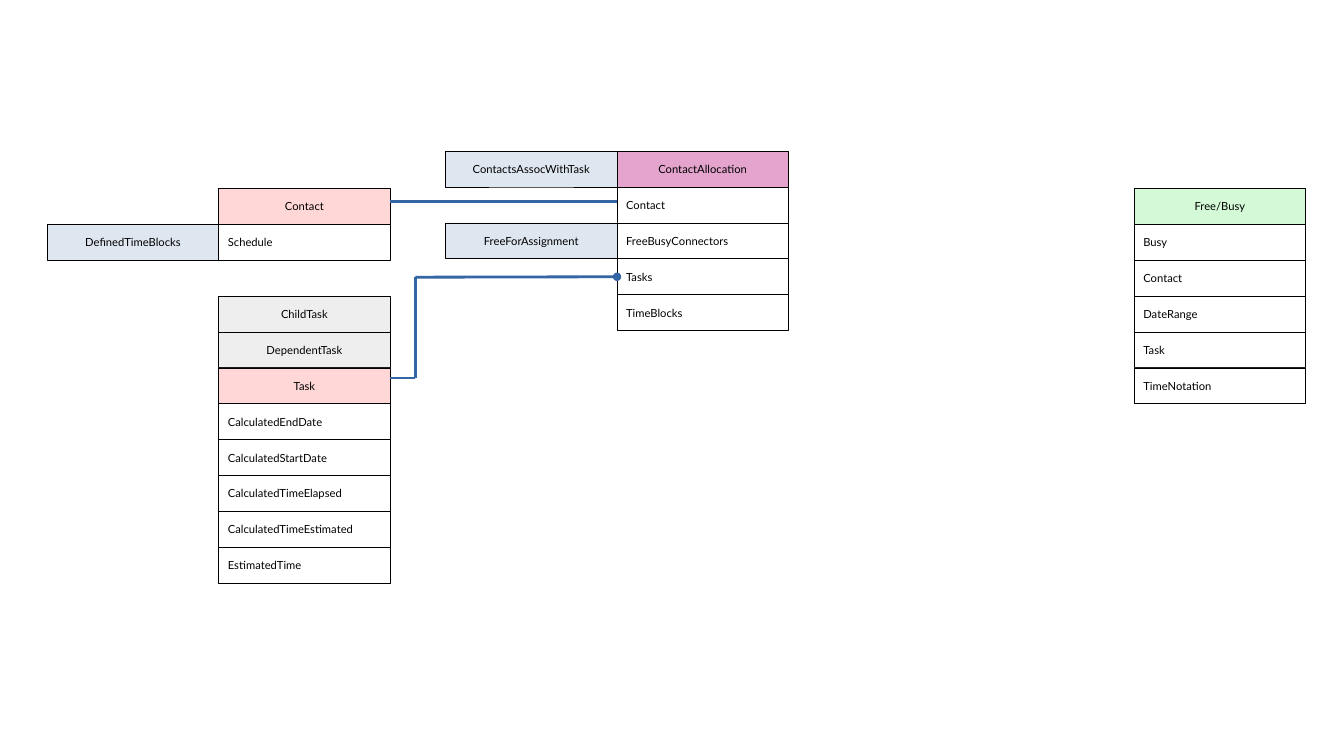
from pptx import Presentation
from pptx.dml.color import RGBColor
from pptx.enum.shapes import MSO_CONNECTOR, MSO_SHAPE
from pptx.enum.text import MSO_ANCHOR, PP_ALIGN
from pptx.oxml.ns import qn
from pptx.util import Inches, Pt
from lxml.etree import SubElement

COLORS = {
    "entity": "FFD7D7",
    "allocation": "E4A4CD",
    "availability": "D4F9D7",
    "subtype": "EEEEEE",
    "tag": "DEE6EF",
    "field": "FFFFFF",
    "ink": "000000",
    "link": "3465A4",
}
CELL_WIDTH = 1.7
ROW_HEIGHT = 3.56 / 10
TASK_LEFT = 2.17
ALLOCATION_LEFT = 6.12
ENTITY_TOP = 1.87
ALLOCATION_TOP = 1.5


def color(name):
    """Return the named colour."""
    return RGBColor.from_string(COLORS[name])


def add_cell(shapes, left, top, text, role):
    """Add one labelled cell; only fields are left-aligned."""
    shape = shapes.add_shape(
        MSO_SHAPE.RECTANGLE,
        Inches(left), Inches(top), Inches(CELL_WIDTH), Inches(ROW_HEIGHT),
    )
    shape.shadow.inherit = False
    shape.fill.solid()
    shape.fill.fore_color.rgb = color(role)
    shape.line.color.rgb = color("ink")
    shape.line.width = Pt(0.5)
    frame = shape.text_frame
    frame.word_wrap = True
    frame.vertical_anchor = MSO_ANCHOR.MIDDLE
    frame.margin_left = frame.margin_right = Inches(0.09)
    frame.margin_top = frame.margin_bottom = Inches(0.04)
    frame.text = text
    paragraph = frame.paragraphs[0]
    paragraph.alignment = PP_ALIGN.LEFT if role == "field" else PP_ALIGN.CENTER
    font = paragraph.runs[0].font
    font.name = "Lato"
    font.size = Pt(8)
    font.color.rgb = color("ink")
    return shape


def add_entity(slide, left, top, headers, fields, tags=None):
    """Stack headers and fields, hang tags left of rows, return cells by text."""
    shapes = slide.shapes.add_group_shape().shapes
    rows = headers + [(field, "field") for field in fields]
    cells = {}
    for index, (text, role) in enumerate(rows):
        cells[text] = add_cell(shapes, left, top + index * ROW_HEIGHT, text, role)
    for index, text in (tags or {}).items():
        add_cell(shapes, left - CELL_WIDTH, top + index * ROW_HEIGHT, text, "tag")
    return cells


def add_link(slide, start, end):
    """Draw a hairline between two points."""
    connector = slide.shapes.add_connector(
        MSO_CONNECTOR.STRAIGHT, *[Inches(value) for value in start + end]
    )
    connector.line.color.rgb = color("link")
    connector.line.width = Pt(0)
    SubElement(connector._element.spPr, qn("a:effectLst"))
    return connector


def add_task_link(slide, left, top, width, height, tasks_cell):
    """Route the stepped link up to the tasks cell, ending in a dot."""
    bend, bottom = left + 0.25, top + height
    add_link(slide, (left, bottom), (bend, bottom))
    add_link(slide, (bend, bottom), (bend, top))
    connector = add_link(slide, (bend, top), (left + width, top))
    connector.end_connect(tasks_cell, 1)
    SubElement(connector.line._get_or_add_ln(), qn("a:tailEnd"), type="oval")


def build_slide(presentation):
    """Place the entities and their links."""
    slide = presentation.slides.add_slide(presentation.slide_layouts[6])
    add_entity(
        slide, 11.25, ENTITY_TOP, [("Free/Busy", "availability")],
        ["Busy", "Contact", "DateRange", "Task", "TimeNotation"],
    )
    add_entity(
        slide, TASK_LEFT, ENTITY_TOP, [("Contact", "entity")],
        ["Schedule"], {1: "DefinedTimeBlocks"},
    )
    add_entity(
        slide, TASK_LEFT, ENTITY_TOP + 3 * ROW_HEIGHT,
        [("ChildTask", "subtype"), ("DependentTask", "subtype"), ("Task", "entity")],
        ["CalculatedEndDate", "CalculatedStartDate", "CalculatedTimeElapsed",
         "CalculatedTimeEstimated", "EstimatedTime"],
    )
    link_left = TASK_LEFT + CELL_WIDTH
    add_link(slide, (link_left, 2), (ALLOCATION_LEFT + 0.25, 2))
    allocation = add_entity(
        slide, ALLOCATION_LEFT, ALLOCATION_TOP, [("ContactAllocation", "allocation")],
        ["Contact", "FreeBusyConnectors", "Tasks", "TimeBlocks"],
        {0: "ContactsAssocWithTask", 2: "FreeForAssignment"},
    )
    add_task_link(
        slide, link_left, 2.75, ALLOCATION_LEFT - link_left, 1, allocation["Tasks"]
    )


def main():
    """Build and save the presentation."""
    presentation = Presentation()
    presentation.slide_width = Inches(13.33)
    presentation.slide_height = Inches(7.5)
    build_slide(presentation)
    presentation.save("out.pptx")


if __name__ == "__main__":
    main()
